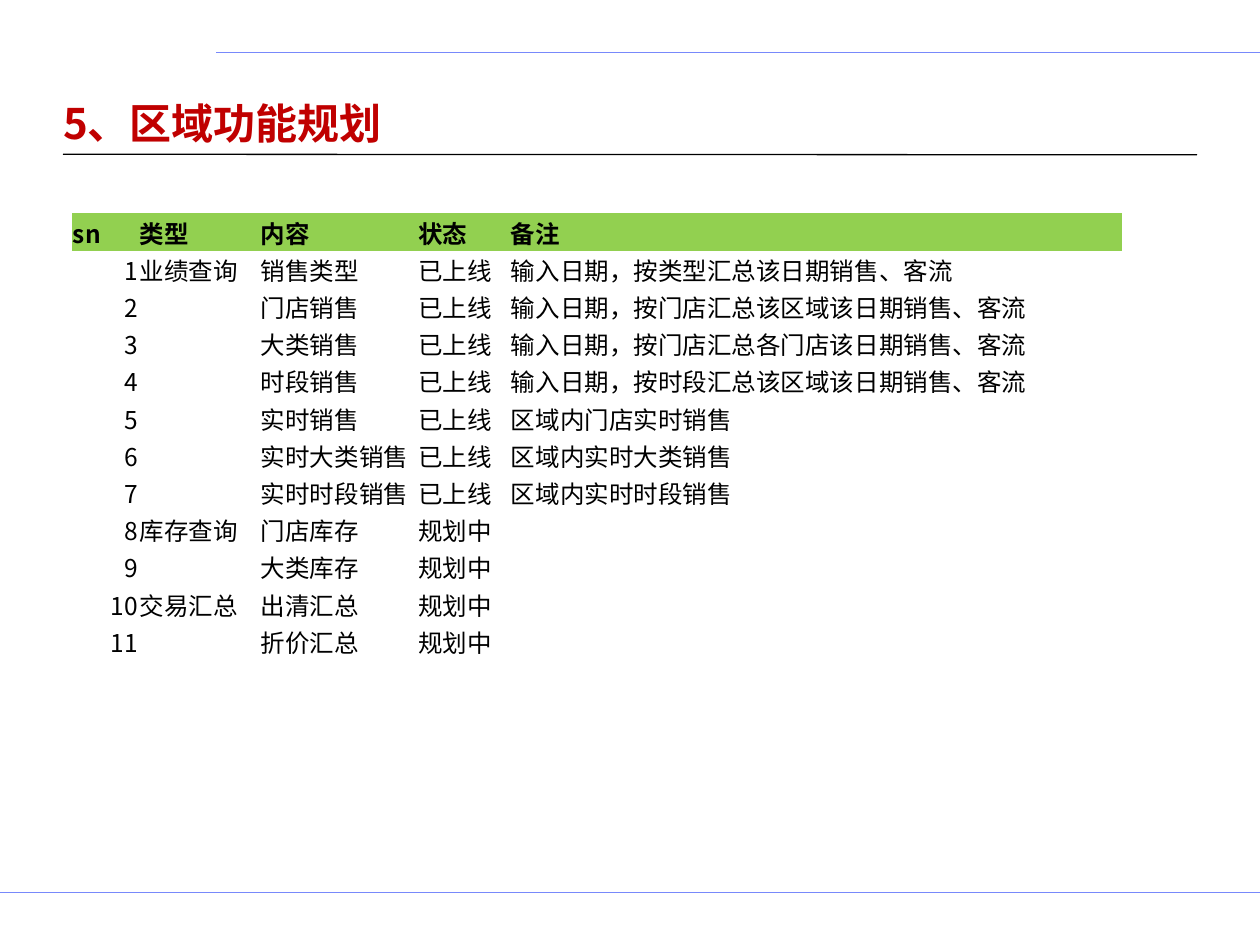
from lxml import etree
from pptx import Presentation
from pptx.dml.color import RGBColor
from pptx.enum.shapes import MSO_CONNECTOR
from pptx.enum.text import MSO_ANCHOR, MSO_AUTO_SIZE, PP_ALIGN
from pptx.oxml.ns import qn
from pptx.util import Cm, Pt

STRAIGHT = MSO_CONNECTOR.STRAIGHT
MIDDLE, BOTTOM = MSO_ANCHOR.MIDDLE, MSO_ANCHOR.BOTTOM
LEFT, RIGHT = PP_ALIGN.LEFT, PP_ALIGN.RIGHT
NO_AUTOFIT = MSO_AUTO_SIZE.NONE

RED = RGBColor(0xC0, 0x00, 0x00)
BLACK = RGBColor(0x00, 0x00, 0x00)
GREEN = RGBColor(0x92, 0xD0, 0x50)
BLUE = RGBColor(0x78, 0x89, 0xFB)

FONT = "Noto Sans CJK SC"
PLAIN_TABLE = "{2D5ABB26-0587-4C30-8999-92F81FD0307C}"
BODY_SIZE = 14

HEADINGS = ("sn", "类型", "内容", "状态", "备注")
ONLINE, PLANNED = "已上线", "规划中"
FUNCTIONS = [
    ("业绩查询", "销售类型", ONLINE, "输入日期，按类型汇总该日期销售、客流"),
    ("", "门店销售", ONLINE, "输入日期，按门店汇总该区域该日期销售、客流"),
    ("", "大类销售", ONLINE, "输入日期，按门店汇总各门店该日期销售、客流"),
    ("", "时段销售", ONLINE, "输入日期，按时段汇总该区域该日期销售、客流"),
    ("", "实时销售", ONLINE, "区域内门店实时销售"),
    ("", "实时大类销售", ONLINE, "区域内实时大类销售"),
    ("", "实时时段销售", ONLINE, "区域内实时时段销售"),
    ("库存查询", "门店库存", PLANNED, ""),
    ("", "大类库存", PLANNED, ""),
    ("交易汇总", "出清汇总", PLANNED, ""),
    ("", "折价汇总", PLANNED, ""),
]
COLUMN_WIDTHS = (1.35, 2.44, 3.17, 1.87, 12.34)
ROW_HEIGHT = 0.75


class SlideBuilder:
    def __init__(self, slide):
        self.slide = slide

    def run(self, paragraph, text, size, color, bold=False):
        run = paragraph.add_run()
        run.text = text
        font = run.font
        font.name, font.size, font.bold = FONT, Pt(size), bold
        font.color.rgb = color
        east_asian = etree.Element(qn("a:ea"), typeface=FONT)
        font._element.find(qn("a:latin")).addnext(east_asian)

    def title(self, text, left, top, width, height):
        title = self.slide.shapes.title
        title.left, title.top = Cm(left), Cm(top)
        title.width, title.height = Cm(width), Cm(height)
        frame = title.text_frame
        frame.word_wrap = True
        frame.auto_size = NO_AUTOFIT
        frame.vertical_anchor = BOTTOM
        frame.margin_left = frame.margin_right = 0
        frame.margin_top = frame.margin_bottom = Cm(0.13)
        paragraph = frame.paragraphs[0]
        paragraph.alignment = LEFT
        self.run(paragraph, text, 24, RED, bold=True)

    def rule(self, start, end, color, weight):
        rule = self.slide.shapes.add_connector(
            STRAIGHT, *(Cm(length) for length in start + end))
        rule.line.color.rgb = color
        rule.line.width = Pt(weight)
        etree.SubElement(rule._element.spPr, qn("a:effectLst"))

    def cell(self, cell, text, header, alignment):
        cell.vertical_anchor = MIDDLE
        cell.margin_left = cell.margin_right = cell.margin_top = Cm(0.02)
        cell.margin_bottom = 0
        if header:
            cell.fill.solid()
            cell.fill.fore_color.rgb = GREEN
        else:
            cell.fill.background()
        paragraph = cell.text_frame.paragraphs[0]
        paragraph.alignment = alignment
        if text:
            self.run(paragraph, text, BODY_SIZE, BLACK, bold=header)
        else:
            etree.SubElement(paragraph._p, qn("a:endParaRPr"), sz=str(BODY_SIZE * 100))

    def table(self, rows, left, top):
        table = self.slide.shapes.add_table(
            len(rows), len(COLUMN_WIDTHS), Cm(left), Cm(top),
            Cm(sum(COLUMN_WIDTHS)), Cm(ROW_HEIGHT * len(rows))).table
        table.first_row = table.horz_banding = False
        table._tbl.tblPr.find(qn("a:tableStyleId")).text = PLAIN_TABLE
        for column, width in zip(table.columns, COLUMN_WIDTHS):
            column.width = Cm(width)
        for row_index, values in enumerate(rows):
            table.rows[row_index].height = Cm(ROW_HEIGHT)
            header = row_index == 0
            for column_index, text in enumerate(values):
                alignment = RIGHT if column_index == 0 and not header else LEFT
                self.cell(table.cell(row_index, column_index), text, header, alignment)


def main():
    presentation = Presentation()
    presentation.slide_width, presentation.slide_height = Cm(25.4), Cm(19.05)
    title_only = presentation.slide_layouts[5]
    builder = SlideBuilder(presentation.slides.add_slide(title_only))

    builder.rule((4.36, 1.06), (25.4, 1.06), BLUE, 0.5)
    builder.rule((0, 17.99), (25.4, 17.99), BLUE, 0.5)
    builder.rule((1.27, 3.11), (24.13, 3.12), BLACK, 0.75)
    builder.title("5、区域功能规划", 1.27, 0.79, 22.86, 2.33)

    numbered = [(str(sn), *function) for sn, function in enumerate(FUNCTIONS, 1)]
    builder.table([HEADINGS, *numbered], 1.45, 4.3)
    presentation.save("out.pptx")


if __name__ == "__main__":
    main()
